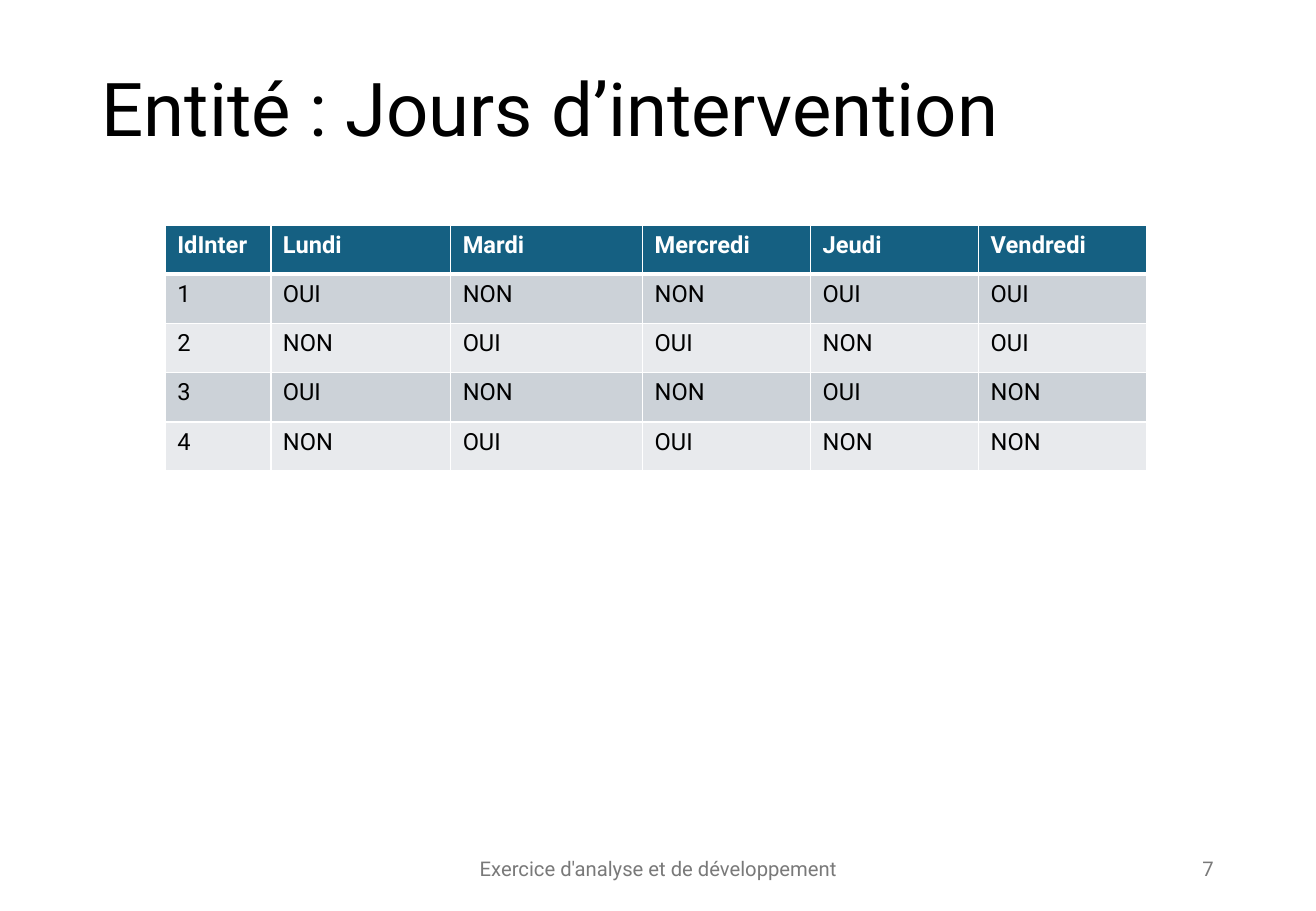
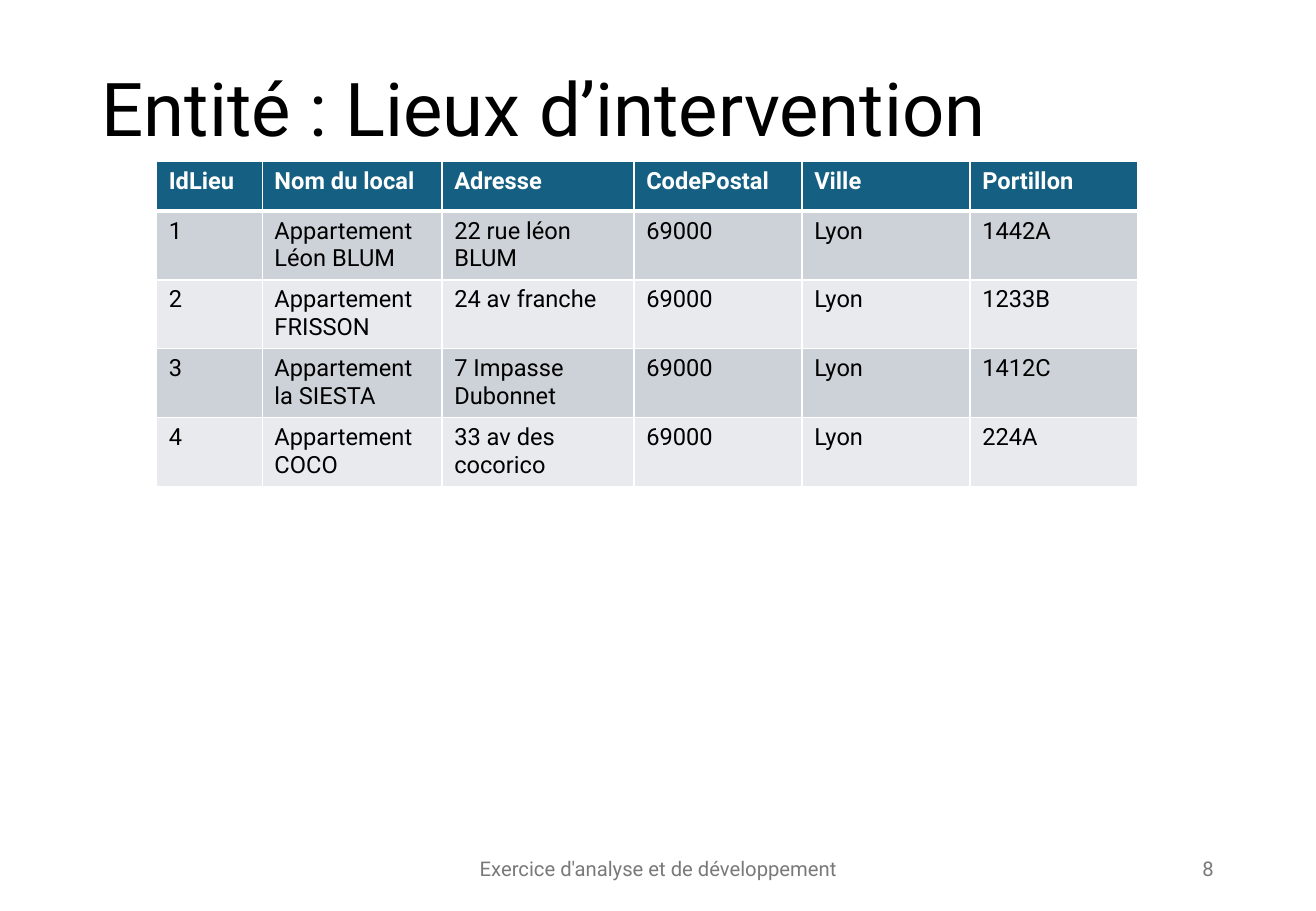
from lxml.etree import SubElement
from pptx import Presentation
from pptx.dml.color import RGBColor
from pptx.enum.text import MSO_ANCHOR, PP_ALIGN
from pptx.oxml.ns import qn
from pptx.util import Pt

FOOTER = "Exercice d'analyse et de développement"
COLUMN_WIDTHS = (62.6, 106.6, 113.8, 99.6, 99.6, 99.6)
ROW_HEIGHT = 29.2


def color(value):
    return RGBColor.from_string(value)


class Slides:
    """Holds the shared style and the current slide."""

    font = "Roboto"
    black, white, gray = "000000", "FFFFFF", "797979"
    header_fill = "156082"
    band_fills = ("CCD2D8", "E8EAED")

    def __init__(self):
        self.deck = Presentation()
        self.deck.slide_width, self.deck.slide_height = Pt(780), Pt(540)
        self.page = None

    def add_page(self, title, number):
        self.page = self.deck.slides.add_slide(self.deck.slide_layouts[6])
        self.page.background.fill.solid()
        self.page.background.fill.fore_color.rgb = color(self.white)
        para = self.text(title, 53.3, 28.8, 672.5, 76.3, 44, self.black)
        para.line_spacing = 0.9
        self.text(FOOTER, 258.5, 500.4, 263.5, 28.8, 12, self.gray, PP_ALIGN.CENTER)
        self.text(str(number), 550.8, 500.4, 175.7, 28.8, 12, self.gray, PP_ALIGN.RIGHT)

    def text(self, words, left, top, width, height, size, ink, align=PP_ALIGN.LEFT):
        box = self.page.shapes.add_textbox(Pt(left), Pt(top), Pt(width), Pt(height))
        box.text_frame.word_wrap = True
        box.text_frame.vertical_anchor = MSO_ANCHOR.MIDDLE
        para = box.text_frame.paragraphs[0]
        para.alignment = align
        self.span(para, words, size, ink)
        return para

    def span(self, para, words, size, ink, bold=False):
        span = para.add_run()
        span.text = words
        span.font.name = self.font
        span.font.size = Pt(size)
        span.font.bold = bold
        span.font.color.rgb = color(ink)

    def table(self, left, top, rows):
        frame = self.page.shapes.add_table(
            len(rows), len(COLUMN_WIDTHS), Pt(left), Pt(top),
            Pt(sum(COLUMN_WIDTHS)), Pt(ROW_HEIGHT * len(rows)))
        table = frame.table
        for column, width in zip(table.columns, COLUMN_WIDTHS):
            column.width = Pt(width)
        for index, values in enumerate(rows):
            table.rows[index].height = Pt(ROW_HEIGHT)
            for place, words in enumerate(values):
                self.cell(table.cell(index, place), words, index)

    def cell(self, cell, words, row):
        header = row == 0
        # The line under the header is thicker and also tops the first band
        self.border(cell, "a:lnL", 1)
        self.border(cell, "a:lnR", 1)
        self.border(cell, "a:lnT", 3 if row == 1 else 1)
        self.border(cell, "a:lnB", 3 if header else 1)
        cell.fill.solid()
        fill = self.header_fill if header else self.band_fills[(row - 1) % 2]
        cell.fill.fore_color.rgb = color(fill)
        ink = self.white if header else self.black
        self.span(cell.text_frame.paragraphs[0], words, 14, ink, header)

    def border(self, cell, side, width):
        properties = cell._tc.get_or_add_tcPr()
        line = SubElement(properties, qn(side), w=str(Pt(width)))
        SubElement(SubElement(line, qn("a:solidFill")), qn("a:srgbClr"), val=self.white)


def main():
    slides = Slides()

    # Intervention days
    slides.add_page("Entité : Jours d’intervention", 7)
    slides.table(97.9, 133.3, [
        ("IdInter", "Lundi", "Mardi", "Mercredi", "Jeudi", "Vendredi"),
        ("1", "OUI", "NON", "NON", "OUI", "OUI"),
        ("2", "NON", "OUI", "OUI", "NON", "OUI"),
        ("3", "OUI", "NON", "NON", "OUI", "NON"),
        ("4", "NON", "OUI", "OUI", "NON", "NON"),
    ])

    # Intervention places
    slides.add_page("Entité : Lieux d’intervention", 8)
    slides.table(92.9, 95.8, [
        ("IdLieu", "Nom du local", "Adresse", "CodePostal", "Ville", "Portillon"),
        ("1", "Appartement Léon BLUM", "22 rue léon BLUM", "69000", "Lyon", "1442A"),
        ("2", "Appartement FRISSON", "24 av franche", "69000", "Lyon", "1233B"),
        ("3", "Appartement la SIESTA", "7 Impasse Dubonnet", "69000", "Lyon", "1412C"),
        ("4", "Appartement COCO", "33 av des cocorico", "69000", "Lyon", "224A"),
    ])

    slides.deck.save("out.pptx")


if __name__ == "__main__":
    main()
